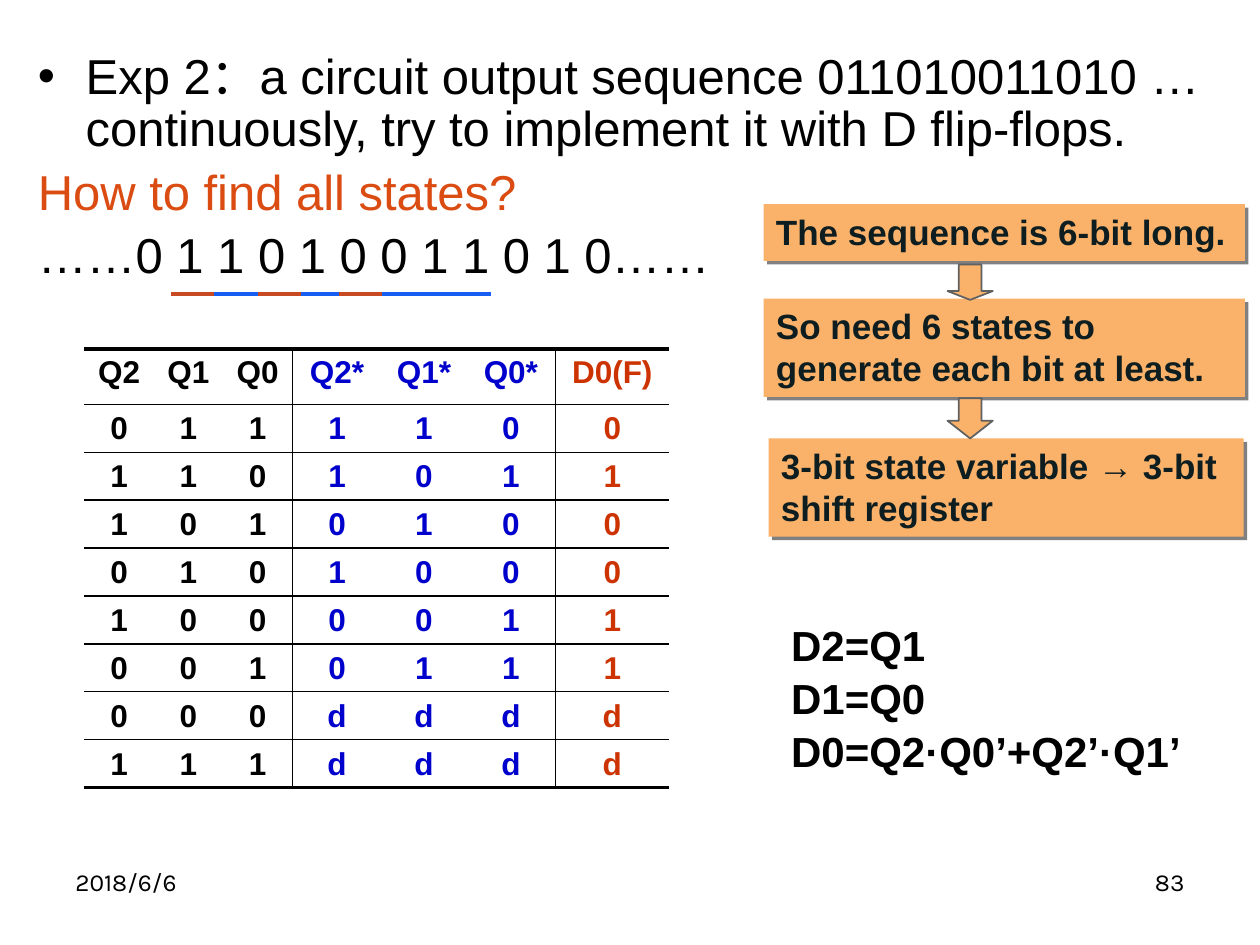
from dataclasses import dataclass

from lxml import etree
from pptx import Presentation
from pptx.dml.color import RGBColor
from pptx.enum.shapes import MSO_CONNECTOR, MSO_SHAPE
from pptx.enum.text import MSO_ANCHOR, MSO_AUTO_SIZE, PP_ALIGN
from pptx.oxml.ns import qn
from pptx.util import Inches, Pt

RECTANGLE, DOWN_ARROW = MSO_SHAPE.RECTANGLE, MSO_SHAPE.DOWN_ARROW
STRAIGHT = MSO_CONNECTOR.STRAIGHT
TOP, MIDDLE = MSO_ANCHOR.TOP, MSO_ANCHOR.MIDDLE
LEFT, CENTER, RIGHT = PP_ALIGN.LEFT, PP_ALIGN.CENTER, PP_ALIGN.RIGHT
NO_AUTOFIT = MSO_AUTO_SIZE.NONE


@dataclass(frozen=True)
class Theme:
    font: str = "Arial"
    footer_font: str = "Karla"
    ink: str = "000000"
    question: str = "DB4C13"
    next_state: str = "0000CC"
    output: str = "CC3300"
    box_fill: str = "FAB26A"
    box_text: str = "0E1E20"
    box_shadow: str = "808080"
    arrow_line: str = "606060"
    window_red: str = "C84A22"
    window_blue: str = "165FF2"
    body_size: int = 28
    equation_size: int = 24
    box_size: int = 20
    table_size: int = 18
    footer_size: int = 14
    thin: float = 1
    thick: float = 2.25


def add_xml(parent, tag, **attributes):
    return etree.SubElement(parent, qn(tag), attributes)


class SlideBuilder:
    def __init__(self, slide, theme):
        self.slide = slide
        self.theme = theme

    def style(self, paragraph, size, color, bold=False, font=None, **layout):
        for name, value in layout.items():
            setattr(paragraph, name, value)
        font_format = {"name": font or self.theme.font, "size": Pt(size), "bold": bold}
        for name, value in font_format.items():
            setattr(paragraph.font, name, value)
        paragraph.font.color.rgb = RGBColor.from_string(color)

    def frame(self, shape, anchor=TOP):
        frame = shape.text_frame
        settings = {"word_wrap": True, "auto_size": NO_AUTOFIT, "vertical_anchor": anchor}
        for name, value in settings.items():
            setattr(frame, name, value)
        return frame

    def place(self, shape, *bounds):
        for name, value in zip(("left", "top", "width", "height"), bounds):
            setattr(shape, name, Inches(value))

    def body(self, bounds, lines):
        placeholder = self.slide.placeholders[1]
        self.place(placeholder, *bounds)
        frame = self.frame(placeholder)
        frame.text = "\n".join(text for text, _, _ in lines)
        for index, (paragraph, (_, color, bullet)) in enumerate(zip(frame.paragraphs, lines)):
            properties = paragraph._p.get_or_add_pPr()
            properties.set("marL", str(Inches(0.38)))
            properties.set("indent", str(-Inches(0.38)))
            if bullet:
                add_xml(properties, "a:buFont", typeface=self.theme.font)
                add_xml(properties, "a:buChar", char=bullet)
            else:
                add_xml(properties, "a:buNone")
            self.style(paragraph, self.theme.body_size, color, line_spacing=0.9,
                       space_before=Pt(6 if index else 0))

    def text(self, bounds, content, size, **style):
        box = self.slide.shapes.add_textbox(*map(Inches, bounds))
        frame = self.frame(box)
        frame.text = content
        for paragraph in frame.paragraphs:
            self.style(paragraph, size, self.theme.ink, **style)

    def shape(self, kind, bounds):
        shape = self.slide.shapes.add_shape(kind, *map(Inches, bounds))
        shape.shadow.inherit = False
        shape.fill.solid()
        shape.fill.fore_color.rgb = RGBColor.from_string(self.theme.box_fill)
        return shape

    def step(self, bounds, content):
        box = self.shape(RECTANGLE, bounds)
        box.line.fill.background()
        effects = box._element.spPr.find(qn("a:effectLst"))
        shadow = add_xml(effects, "a:outerShdw", dist=str(Pt(2.8)), dir=str(45 * 60000),
                         algn="ctr", rotWithShape="0")
        add_xml(shadow, "a:srgbClr", val=self.theme.box_shadow)
        frame = self.frame(box)
        frame.text = content
        self.style(frame.paragraphs[0], self.theme.box_size, self.theme.box_text,
                   bold=True, alignment=LEFT)

    def arrow(self, bounds, head):
        arrow = self.shape(DOWN_ARROW, bounds)
        arrow.adjustments[0], arrow.adjustments[1] = 0.5, head
        arrow.line.color.rgb = RGBColor.from_string(self.theme.arrow_line)
        arrow.line.width = Pt(self.theme.thin)

    def underline(self, start, end, y, color):
        line = self.slide.shapes.add_connector(
            STRAIGHT, Inches(start), Inches(y), Inches(end), Inches(y))
        line.line.color.rgb = RGBColor.from_string(color)
        line.line.width = Pt(self.theme.thick)
        add_xml(line._element.spPr, "a:effectLst")

    def borders(self, cell, widths):
        properties = cell._tc.get_or_add_tcPr()
        for position, (side, width) in enumerate(widths.items()):
            border = etree.Element(qn(f"a:ln{side}"), w=str(Pt(width)))
            if width:
                fill = add_xml(border, "a:solidFill")
                add_xml(fill, "a:srgbClr", val=self.theme.ink)
            else:
                add_xml(border, "a:noFill")
            properties.insert(position, border)

    def state_table(self, left, top, column_widths, row_heights, rows, column_colors, dividers):
        theme = self.theme
        graphic = self.slide.shapes.add_table(
            len(rows), len(column_widths), Inches(left), Inches(top),
            Inches(sum(column_widths)), Inches(sum(row_heights)))
        table = graphic.table
        table.first_row = table.horz_banding = False
        for column, width in zip(table.columns, column_widths):
            column.width = Inches(width)
        for row, height in zip(table.rows, row_heights):
            row.height = Inches(height)
        for r, values in enumerate(rows):
            for c, value in enumerate(values):
                cell = table.cell(r, c)
                cell.text = value
                cell.fill.background()
                cell.vertical_anchor = MIDDLE if r else TOP
                cell.margin_bottom = Inches(0.04)
                self.style(cell.text_frame.paragraphs[0], theme.table_size,
                           column_colors[c], bold=True, alignment=CENTER)
                self.borders(cell, {
                    "L": theme.thin if c - 1 in dividers else 0,
                    "R": theme.thin if c in dividers else 0,
                    "T": theme.thin if r else theme.thick,
                    "B": theme.thick if r == len(rows) - 1 else theme.thin})


def main():
    theme = Theme()
    deck = Presentation()
    deck.slide_width, deck.slide_height = Inches(10), Inches(7.5)
    slide = deck.slides.add_slide(deck.slide_layouts[1])
    title = slide.shapes.title._element
    title.getparent().remove(title)
    builder = SlideBuilder(slide, theme)

    # Date and slide number
    for left, content, alignment in ((0.5, "2018/6/6", LEFT), (7.17, "83", RIGHT)):
        builder.text((left, 6.83, 2.33, 0.52), content, theme.footer_size,
                     font=theme.footer_font, alignment=alignment)

    # Problem statement and sequence
    builder.body((0.2, 0.36, 9.65, 2.11), (
        ("Exp 2：a circuit output sequence 011010011010 … continuously, "
         "try to implement it with D flip-flops.", theme.ink, "•"),
        ("How to find all states?", theme.question, None),
        ("……0 1 1 0 1 0 0 1 1 0 1 0……", theme.ink, None)))

    # Sliding three-bit windows under the sequence
    windows = ((1.36, 2.31), (1.7, 2.65), (2.05, 2.91), (2.39, 3.34), (2.69, 3.63), (3.03, 3.9))
    for index, (start, end) in enumerate(windows):
        color = theme.window_blue if index % 2 else theme.window_red
        builder.underline(start, end, 2.33, color)

    # State transition table: present state, next state, output
    header = ("Q2", "Q1", "Q0", "Q2*", "Q1*", "Q0*", "D0(F)")
    transitions = ("0111100", "1101011", "1010100", "0101000",
                   "1000011", "0010111", "000dddd", "111dddd")
    builder.state_table(
        0.67, 2.77, [0.55] * 3 + [0.71, 0.67, 0.71, 0.9], [0.44] + [0.38] * len(transitions),
        (header, *transitions),
        [theme.ink] * 3 + [theme.next_state] * 3 + [theme.output], dividers=(2, 5))

    # Resulting equations
    builder.text((6.18, 4.85, 3.31, 1.3), "D2=Q1\nD1=Q0\nD0=Q2·Q0’+Q2’·Q1’",
                 theme.equation_size, bold=True, line_spacing=1.05)

    # Reasoning steps joined by arrows
    builder.step((6.06, 1.62, 3.82, 0.45), "The sequence is 6-bit long.")
    builder.step((6.06, 2.37, 3.82, 0.78), "So need 6 states to generate each bit at least.")
    builder.step((6.1, 3.48, 3.77, 0.78), "3-bit state variable → 3-bit shift register")
    builder.arrow((7.52, 2.1, 0.36, 0.28), head=0.25)
    builder.arrow((7.52, 3.16, 0.36, 0.32), head=0.44)

    deck.save("out.pptx")


if __name__ == "__main__":
    main()
